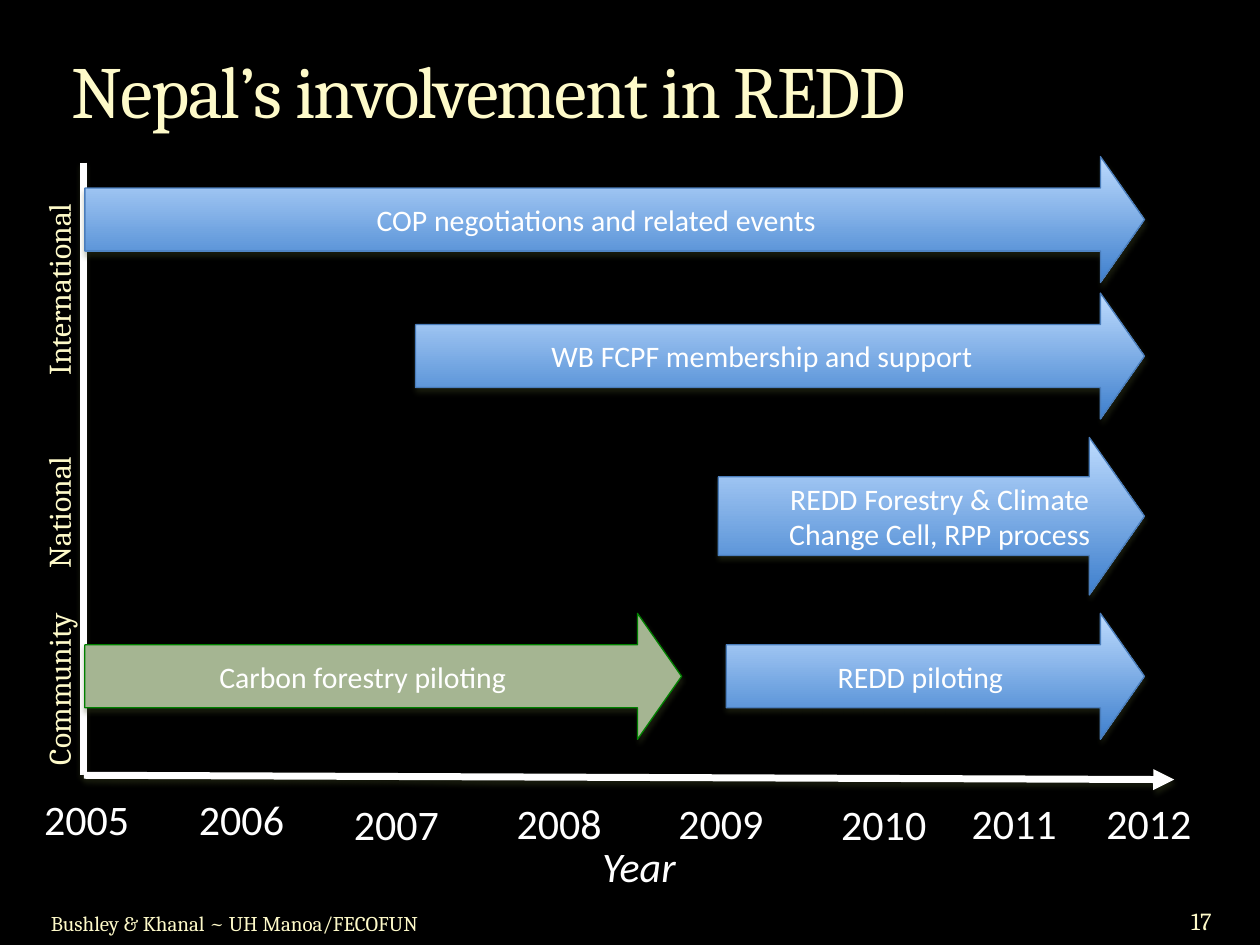
from lxml import etree
from pptx import Presentation
from pptx import util as u
from pptx.dml.color import RGBColor
from pptx.enum import shapes, text
from pptx.oxml import ns

BLACK = RGBColor(0x00, 0x00, 0x00)
WHITE = RGBColor(0xFF, 0xFF, 0xFF)
CREAM = RGBColor(0xFE, 0xFA, 0xC9)
SKY = RGBColor(0xBD, 0xDB, 0xFE)
BLUE = RGBColor(0x3E, 0x7F, 0xCD)
BLUE_EDGE = RGBColor(0x4A, 0x7D, 0xBB)
SAGE = RGBColor(0xA5, 0xB5, 0x92)
GREEN_EDGE = RGBColor(0x00, 0x80, 0x00)
SHADOW = RGBColor(0x44, 0x4D, 0x26)

LEFT, CENTER = text.PP_ALIGN.LEFT, text.PP_ALIGN.CENTER
TOP, MIDDLE = text.MSO_ANCHOR.TOP, text.MSO_ANCHOR.MIDDLE


class TimelineSlide:
    """Holds the style and the current slide; lengths are in points."""
    body, serif = "Calibri", "Cambria"

    def __init__(self, prs):
        self.s = prs.slides.add_slide(prs.slide_layouts[5])
        self.s.background.fill.solid()
        self.s.background.fill.fore_color.rgb = BLACK

    def _font(self, p, size, name, color, italic=None):
        f = p.font
        f.size, f.name, f.italic = u.Pt(size), name, italic
        f.color.rgb = color

    def _insets(self, tf, x, y):
        tf.margin_left = tf.margin_right = u.Pt(x)
        tf.margin_top = tf.margin_bottom = u.Pt(y)

    def _shadow(self, sp, alpha, dist):
        effects = sp._element.spPr.find(ns.qn("a:effectLst"))
        if effects is None:
            effects = etree.SubElement(sp._element.spPr, ns.qn("a:effectLst"))
        outer = etree.SubElement(
            effects, ns.qn("a:outerShdw"), blurRad=str(u.Pt(3)),
            dist=str(u.Pt(dist)), dir="5400000", rotWithShape="0")
        color = etree.SubElement(outer, ns.qn("a:srgbClr"), val=str(SHADOW))
        etree.SubElement(color, ns.qn("a:alpha"), val=str(alpha * 1000))

    def title(self, words, x, y, w, h):
        sp = self.s.shapes.title
        sp.left, sp.top, sp.width, sp.height = map(u.Pt, (x, y, w, h))
        tf = sp.text_frame
        tf.text = words
        tf.auto_size = text.MSO_AUTO_SIZE.NONE
        tf.vertical_anchor = text.MSO_ANCHOR.BOTTOM
        self._insets(tf, 5, 3)
        p = tf.paragraphs[0]
        p.alignment = LEFT
        self._font(p, 42, self.serif, CREAM)
        p.runs[0].font._element.set("spc", "-100")

    def text(self, words, x, y, w, h, size, name=body, color=WHITE, align=CENTER,
             anchor=TOP, insets=(2, 2), italic=None, parent=None):
        sp = (parent or self.s).shapes.add_textbox(*map(u.Pt, (x, y, w, h)))
        tf = sp.text_frame
        tf.text, tf.word_wrap, tf.vertical_anchor = words, True, anchor
        self._insets(tf, *insets)
        p = tf.paragraphs[0]
        p.alignment = align
        self._font(p, size, name, color, italic)
        return sp

    def label(self, words, x, y, w, h, size, rotation=0, **style):
        sp = self.text(words, x, y, w, h, size, align=LEFT,
                       insets=(7.2, 3.6), **style)
        sp.rotation = rotation
        sp.text_frame.word_wrap = False
        sp.text_frame.auto_size = text.MSO_AUTO_SIZE.SHAPE_TO_FIT_TEXT

    def axis(self, x1, y1, x2, y2, arrow=False):
        sp = self.s.shapes.add_connector(
            shapes.MSO_CONNECTOR.STRAIGHT, *map(u.Pt, (x1, y1, x2, y2)))
        sp.line.color.rgb, sp.line.width = WHITE, u.Pt(4)
        if arrow:
            etree.SubElement(sp.line._get_or_add_ln(), ns.qn("a:tailEnd"),
                             type="triangle")
        self._shadow(sp, 38, 1.6)

    def arrow(self, words, box, text_box, green=False):
        group = self.s.shapes.add_group_shape()
        sp = group.shapes.add_shape(shapes.MSO_SHAPE.RIGHT_ARROW, *map(u.Pt, box))
        sp.adjustments[0], sp.adjustments[1] = 0.5, 0.35
        if green:
            sp.fill.solid()
            sp.fill.fore_color.rgb = SAGE
        else:
            sp.fill.gradient()
            sp.fill.gradient_angle = 270
            for stop, color in zip(sp.fill.gradient_stops, (SKY, BLUE)):
                stop.color.rgb = color
        sp.line.color.rgb = GREEN_EDGE if green else BLUE_EDGE
        sp.line.width = u.Pt(0.75)
        sp.shadow.inherit = False
        self._shadow(sp, 35, 1.8)
        self.text(words, *text_box, 17, anchor=MIDDLE, insets=(3, 3), parent=group)


def main():
    prs = Presentation()
    prs.slide_width, prs.slide_height = u.Pt(720), u.Pt(540)
    s = TimelineSlide(prs)
    s.title("Nepal’s involvement in REDD", 36, 12, 648, 67)

    # Axes
    s.axis(47.5, 93, 47.5, 443)
    s.axis(48, 443, 671, 445.5, arrow=True)

    # Activities: all but the pilot end at the same date
    start, end = 48.5, 654
    for words, x, y, h, text_box in (
            ("COP negotiations and related events", start, 89.5, 72,
             (start, 113, 584.5, 25)),
            ("WB FCPF membership and support", 237.5, 167.5, 72,
             (237.5, 191, 396, 25)),
            ("REDD piloting", 415, 350.5, 72, (415, 374, 222, 25)),
            ("REDD Forestry & Climate Change Cell, RPP process", 410.5, 250, 90,
             (442, 272.5, 190, 45))):
        s.arrow(words, (x, y, end - x, h), text_box)
    s.arrow("Carbon forestry piloting", (start, 350.5, 341, 72),
            (start, 374, 317.5, 25), green=True)

    # Years, centred under the time axis
    centers = (49.5, 138, 226.5, 319.5, 412, 505, 579.5, 656.5)
    for year, center in enumerate(centers, 2005):
        inset = 0 if year < 2007 else 2
        top = 454.5 if year in (2007, 2010) else 453.5
        s.text(str(year), center - 36.5, top, 73, 33, 24, insets=(inset, inset))
    s.label("Year", 337, 476.5, 62.5, 36, 24, italic=True)

    # Levels along the vertical axis
    for words, middle, length in (("International", 162, 119.5),
                                  ("National", 290, 83.5),
                                  ("Community", 389.5, 109.5)):
        s.label(words, 33.5 - length / 2, middle - 14.5, length, 29, 18,
                rotation=270, name=s.serif, color=CREAM)

    # Footer
    s.text("Bushley & Khanal ~ UH Manoa/FECOFUN", 22, 516.5, 282, 21.5, 12,
           s.serif, CREAM, LEFT, MIDDLE, (7.2, 3.6))
    s.text("17", 662.5, 508, 48, 36, 14, s.serif, CREAM, CENTER, MIDDLE, (0, 0))

    prs.save("out.pptx")


if __name__ == "__main__":
    main()
